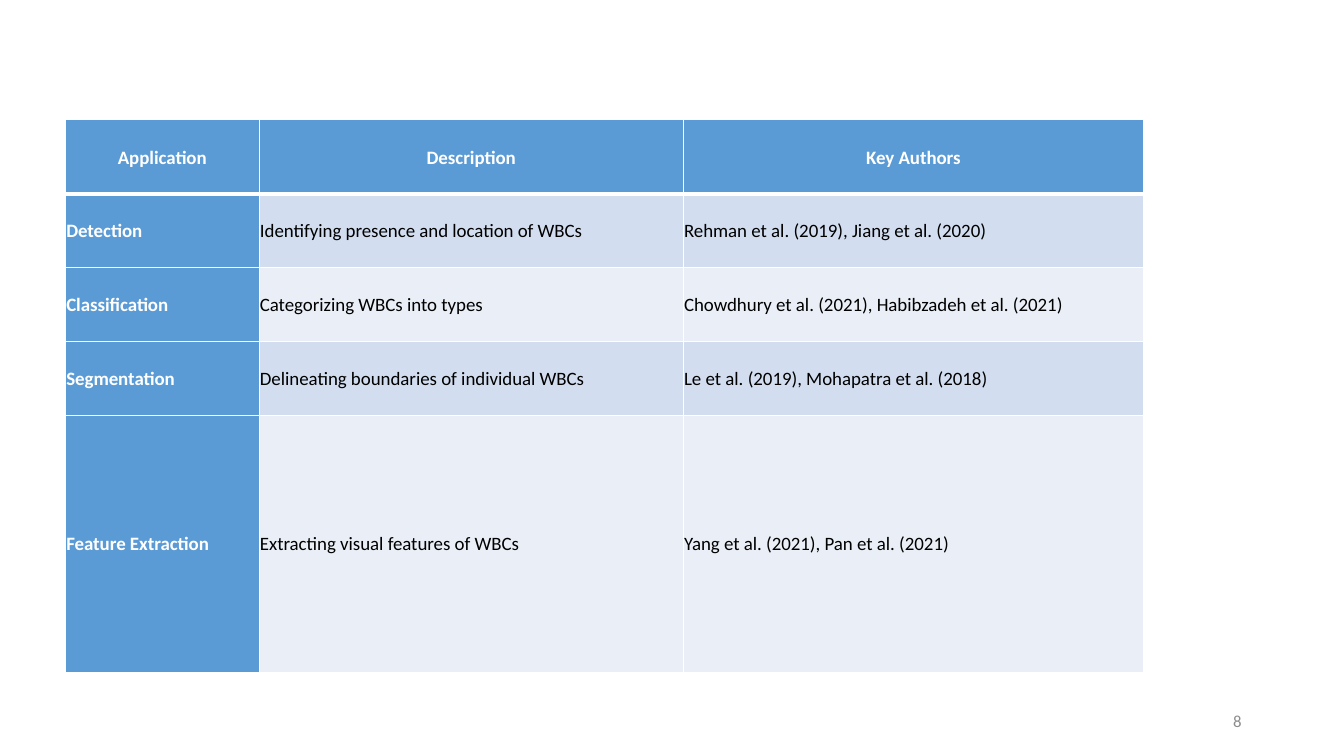
from dataclasses import dataclass

from lxml.etree import SubElement
from pptx import Presentation
from pptx.dml.color import RGBColor
from pptx.enum.text import MSO_ANCHOR, PP_ALIGN
from pptx.oxml.ns import qn
from pptx.util import Cm, Pt


@dataclass(frozen=True)
class Theme:
    font: str = "Calibri"
    table_size: float = 13.5
    number_size: float = 12
    header: str = "5B9BD5"
    bands: tuple = ("D2DEEF", "EAEFF7")
    light: str = "FFFFFF"
    dark: str = "000000"
    muted: str = "8C8C8C"


theme = Theme()


def style_text(p, size, color, bold=False):
    for r in p.runs:
        r.font.name = theme.font
        r.font.size = Pt(size)
        r.font.bold = bold
        r.font.color.rgb = RGBColor.from_string(color)


def add_borders(cell, bottom_width):
    tc_pr = cell._tc.get_or_add_tcPr()
    for side, width in (("L", 1), ("R", 1), ("T", 1), ("B", bottom_width)):
        ln = SubElement(tc_pr, qn(f"a:ln{side}"), w=str(Pt(width)))
        fill = SubElement(ln, qn("a:solidFill"))
        SubElement(fill, qn("a:srgbClr"), val=theme.light)


# Slide
prs = Presentation()
prs.slide_width, prs.slide_height = Cm(33.87), Cm(19.05)
s = prs.slides.add_slide(prs.slide_layouts[6])

# Table content
rows = [
    ("Application", "Description", "Key Authors"),
    ("Detection", "Identifying presence and location of WBCs",
     "Rehman et al. (2019), Jiang et al. (2020)"),
    ("Classification", "Categorizing WBCs into types",
     "Chowdhury et al. (2021), Habibzadeh et al. (2021)"),
    ("Segmentation", "Delineating boundaries of individual WBCs",
     "Le et al. (2019), Mohapatra et al. (2018)"),
    ("Feature Extraction", "Extracting visual features of WBCs",
     "Yang et al. (2021), Pan et al. (2021)"),
]
col_widths = [4.88, 10.69, 11.6]
row_heights = [1.86] * 4 + [6.48]

# Table grid
table = s.shapes.add_table(len(rows), len(col_widths), Cm(1.65), Cm(3.02),
                           Cm(sum(col_widths)), Cm(sum(row_heights))).table
table.first_col = True
for column, width in zip(table.columns, col_widths):
    column.width = Cm(width)
for row, height in zip(table.rows, row_heights):
    row.height = Cm(height)

# Table cells: blue header row and first column, banded body
for i, texts in enumerate(rows):
    for j, text in enumerate(texts):
        cell = table.cell(i, j)
        is_header = i == 0 or j == 0
        cell.text = text
        cell.vertical_anchor = MSO_ANCHOR.MIDDLE
        cell.margin_left = cell.margin_right = Cm(0.02)
        cell.margin_top = cell.margin_bottom = Cm(0.02)
        add_borders(cell, bottom_width=3 if i == 0 else 1)
        cell.fill.solid()
        cell.fill.fore_color.rgb = RGBColor.from_string(
            theme.header if is_header else theme.bands[(i - 1) % 2])
        p = cell.text_frame.paragraphs[0]
        p.alignment = PP_ALIGN.CENTER if i == 0 else PP_ALIGN.LEFT
        p.line_spacing = 1.07
        p.space_after = Pt(8)
        style_text(p, theme.table_size,
                   theme.light if is_header else theme.dark, is_header)

# Slide number
sp = s.shapes.add_textbox(Cm(23.92), Cm(17.66), Cm(7.62), Cm(1.01))
tf = sp.text_frame
tf.word_wrap = True
tf.vertical_anchor = MSO_ANCHOR.MIDDLE
tf.text = "8"
p = tf.paragraphs[0]
p.alignment = PP_ALIGN.RIGHT
style_text(p, theme.number_size, theme.muted)

prs.save("out.pptx")
